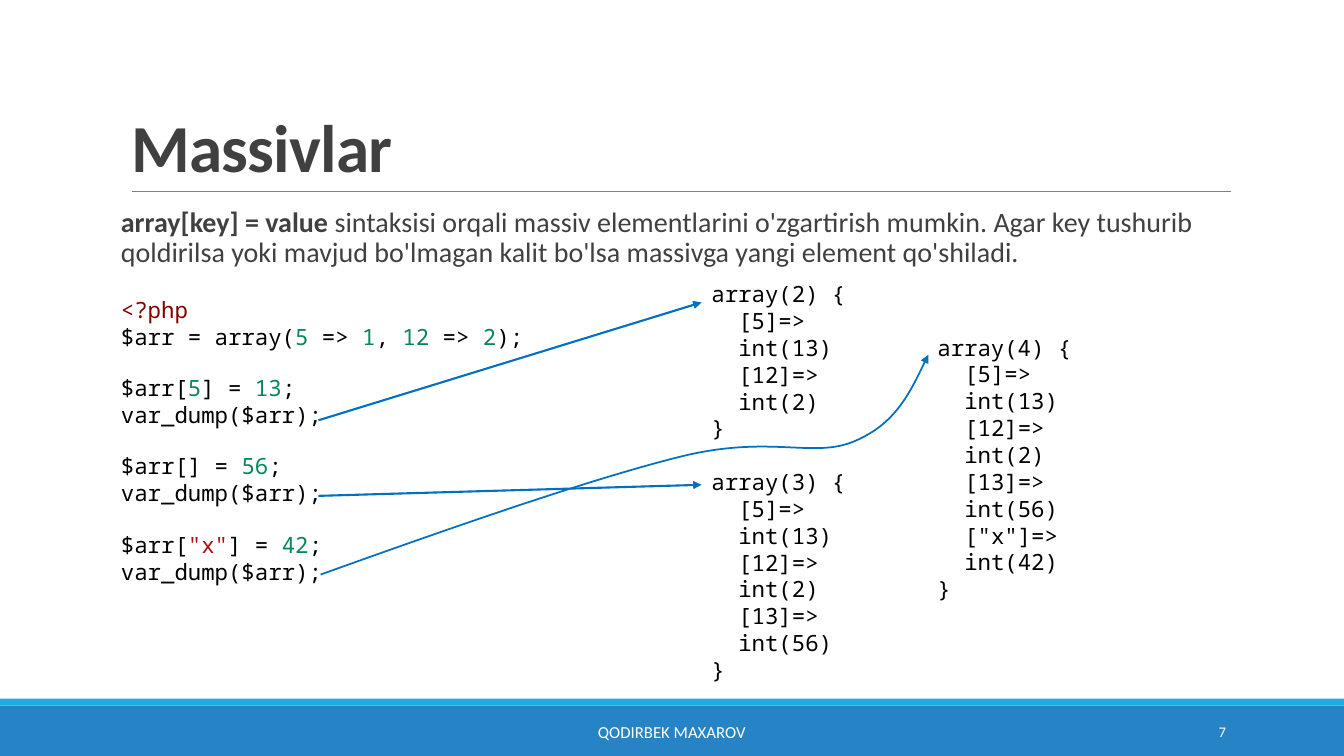
"""Build the slide on changing PHP array elements."""
from lxml import etree
from pptx import Presentation
from pptx.dml.color import RGBColor
from pptx.enum.shapes import MSO_CONNECTOR, MSO_SHAPE
from pptx.enum.text import MSO_ANCHOR, MSO_AUTO_SIZE, PP_ALIGN
from pptx.oxml.ns import qn
from pptx.util import Pt

STRAIGHT, RECTANGLE = MSO_CONNECTOR.STRAIGHT, MSO_SHAPE.RECTANGLE
TOP, MIDDLE, BOTTOM = MSO_ANCHOR.TOP, MSO_ANCHOR.MIDDLE, MSO_ANCHOR.BOTTOM
LEFT, CENTER, RIGHT = PP_ALIGN.LEFT, PP_ALIGN.CENTER, PP_ALIGN.RIGHT
NO_AUTOFIT = MSO_AUTO_SIZE.NONE
SANS, MONO = "Calibri", "Noto Sans Mono"
BLACK, GRAY, WHITE = "000000", "404040", "FFFFFF"
NUMBER, STRING, TAG, ARROW = "098658", "A31515", "800000", "0070C0"


def color(hex_code):
    return RGBColor.from_string(hex_code)


def add_run(paragraph, text, size, font, hex_code, bold=False):
    run = paragraph.add_run()
    run.text = text
    run.font.size, run.font.name, run.font.bold = Pt(size), font, bold
    run.font.color.rgb = color(hex_code)
    return run


prs = Presentation()
prs.slide_width, prs.slide_height = Pt(960), Pt(540)
slide = prs.slides.add_slide(prs.slide_layouts[5])
shapes = slide.shapes

for top, height, fill in [(504, 36, "2683C6"), (499, 5, "1CADE4")]:
    band = shapes.add_shape(RECTANGLE, Pt(0), Pt(top), Pt(960), Pt(height))
    band.shadow.inherit = False
    band.fill.solid()
    band.fill.fore_color.rgb = color(fill)
    band.line.fill.background()

title = shapes.title
title.left, title.top, title.width, title.height = Pt(86.4), Pt(22.3), Pt(792), Pt(114.5)
title.text_frame.auto_size = NO_AUTOFIT
title.text_frame.vertical_anchor = BOTTOM
heading = title.text_frame.paragraphs[0]
heading.alignment, heading.line_spacing = LEFT, 0.85
title_run = add_run(heading, "Massivlar", 48, SANS, GRAY, True)
title_run.font._element.set("spc", "-50")

body = shapes.add_textbox(Pt(86.4), Pt(145.4), Pt(792), Pt(316.8)).text_frame
body.word_wrap = True
body.margin_left = body.margin_right = 0
intro = body.paragraphs[0]
intro.line_spacing, intro.space_after = 0.9, Pt(2)
add_run(intro, "array[key] = value", 20, SANS, GRAY, True)
add_run(intro, " sintaksisi orqali massiv elementlarini o'zgartirish mumkin. "
        "Agar key tushurib qoldirilsa yoki mavjud bo'lmagan kalit bo'lsa "
        "massivga yangi element qo'shiladi.", 20, SANS, GRAY)

dump_call = (0, [("var_dump($arr);", BLACK)])
code_lines = [
    (19.6, [("<?php", TAG)]),
    (0, [("$arr = array(", BLACK), ("5", NUMBER), (" => ", BLACK), ("1", NUMBER), (", ", BLACK),
         ("12", NUMBER), (" => ", BLACK), ("2", NUMBER), (");", BLACK)]),
    (17.3, [("$arr[", BLACK), ("5", NUMBER), ("] = ", BLACK), ("13", NUMBER), (";", BLACK)]),
    dump_call,
    (17.3, [("$arr[] = ", BLACK), ("56", NUMBER), (";", BLACK)]),
    dump_call,
    (17.3, [("$arr[", BLACK), ('"x"', STRING), ("] = ", BLACK), ("42", NUMBER), (";", BLACK)]),
    dump_call,
]
for gap, tokens in code_lines:
    line = body.add_paragraph()
    line.line_spacing, line.space_before, line.space_after = 0.9, Pt(gap), Pt(2)
    for text, hex_code in tokens:
        add_run(line, text, 16, MONO, hex_code)

elements = [("5", 13), ("12", 2), ("13", 56), ('"x"', 42)]
for count, left, top in [(2, 501.1, 196.6), (3, 501.1, 330.8), (4, 662.5, 234.8)]:
    dump = shapes.add_textbox(Pt(left), Pt(top), Pt(155), Pt(45.6 + 38.4 * count)).text_frame
    dump.word_wrap = True
    add_run(dump.paragraphs[0], f"array({count}) {{", 16, MONO, BLACK)
    for key, value in elements[:count]:
        for text in (f"[{key}]=>", f"int({value})"):
            entry = dump.add_paragraph()
            entry._p.get_or_add_pPr().set("marL", str(Pt(19.2)))
            add_run(entry, text, 16, MONO, BLACK)
    add_run(dump.add_paragraph(), "}", 16, MONO, BLACK)

for left, width, text, size, align in [
    (290.2, 379.4, "QODIRBEK MAXAROV", 12, CENTER),
    (779.8, 103, "7", 10.5, RIGHT),
]:
    footer = shapes.add_textbox(Pt(left), Pt(508.3), Pt(width), Pt(28.8)).text_frame
    footer.word_wrap, footer.vertical_anchor = True, MIDDLE
    footer.paragraphs[0].alignment = align
    add_run(footer.paragraphs[0], text, size, SANS, WHITE)

for x1, y1, x2, y2, hex_code, width, has_head in [
    (94.3, 136.8, 879.1, 136.8, "808080", 0.5, False),
    (227.5, 300.2, 501.1, 216, ARROW, 1.5, True),
    (227.5, 354.2, 501.1, 346.3, ARROW, 1.5, True),
]:
    link = shapes.add_connector(STRAIGHT, Pt(x1), Pt(y1), Pt(x2), Pt(y2))
    link.line.color.rgb, link.line.width = color(hex_code), Pt(width)
    etree.SubElement(link._element.spPr, qn("a:effectLst"))
    if has_head:
        etree.SubElement(link.line._get_or_add_ln(), qn("a:tailEnd"), type="triangle")

curve_points = [
    (325.4, 375.8), (422.6, 342), (486, 326.2),
    (550.1, 310.3), (580.3, 327.6), (609.8, 315.4),
    (639.4, 303.1), (650.9, 278.6), (663.1, 253.4),
]
builder = shapes.build_freeform(Pt(229), Pt(410.4))
builder.add_line_segments([(Pt(x), Pt(y)) for x, y in curve_points], close=False)
curve = builder.convert_to_shape()
curve.shadow.inherit = False
curve.fill.background()
curve.line.color.rgb, curve.line.width = color(ARROW), Pt(1.25)
etree.SubElement(curve.line._get_or_add_ln(), qn("a:tailEnd"), type="triangle")
segments = curve._element.xpath(".//a:lnTo")
for start in range(0, len(segments), 3):
    bezier = etree.Element(qn("a:cubicBezTo"))
    segments[start].addprevious(bezier)
    for segment in segments[start:start + 3]:
        bezier.append(segment[0])
        segment.getparent().remove(segment)

prs.save("out.pptx")
